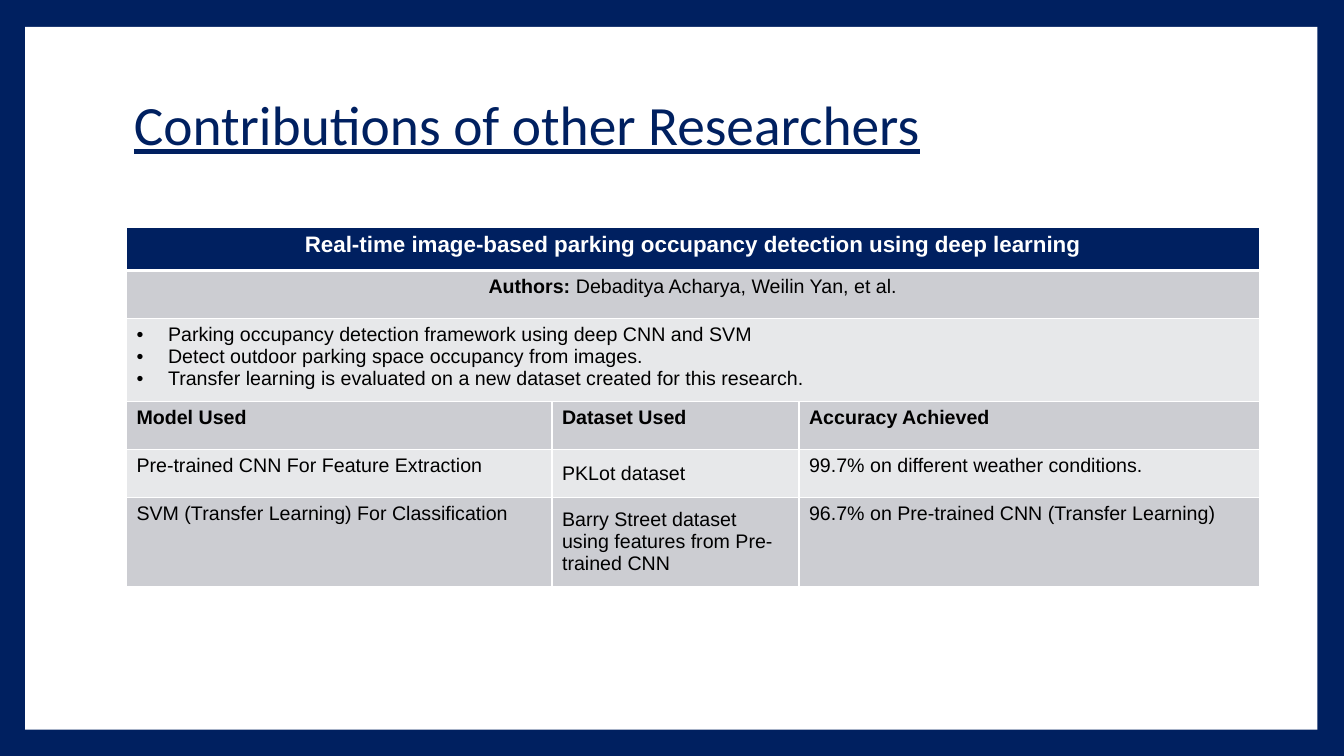
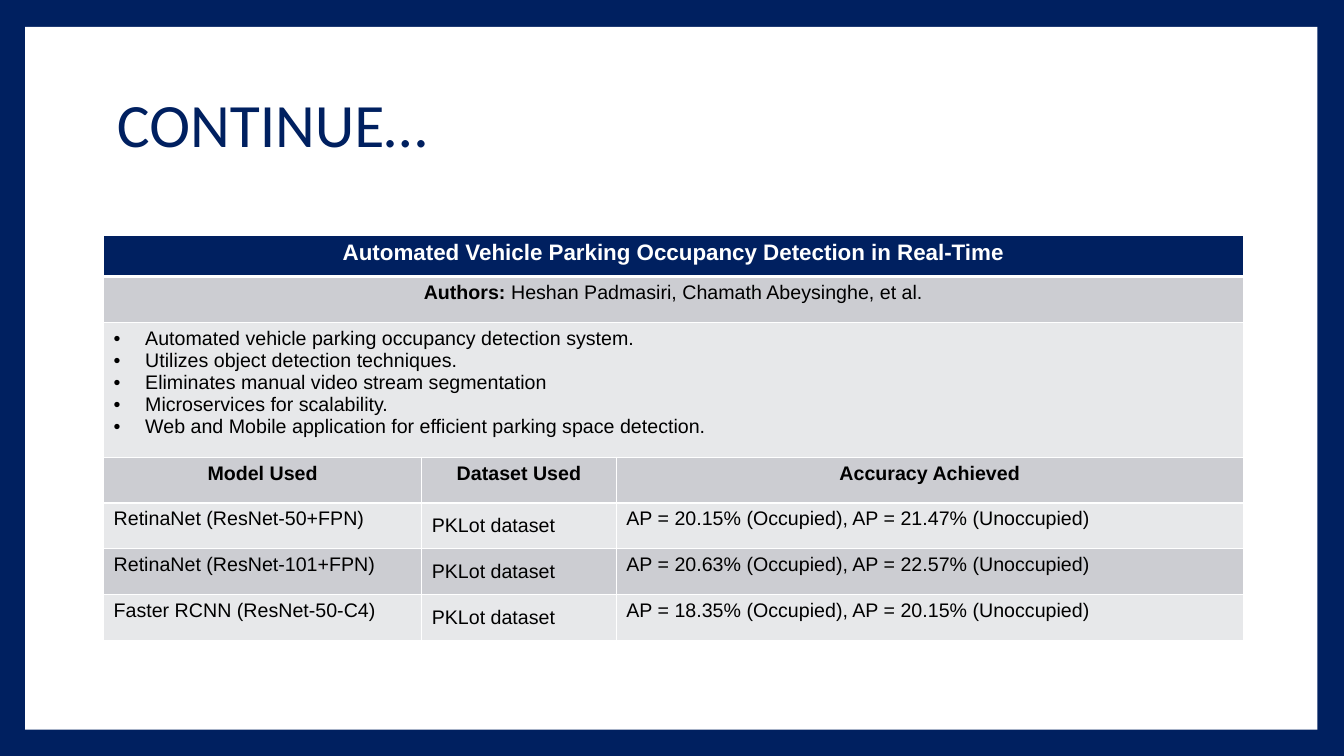
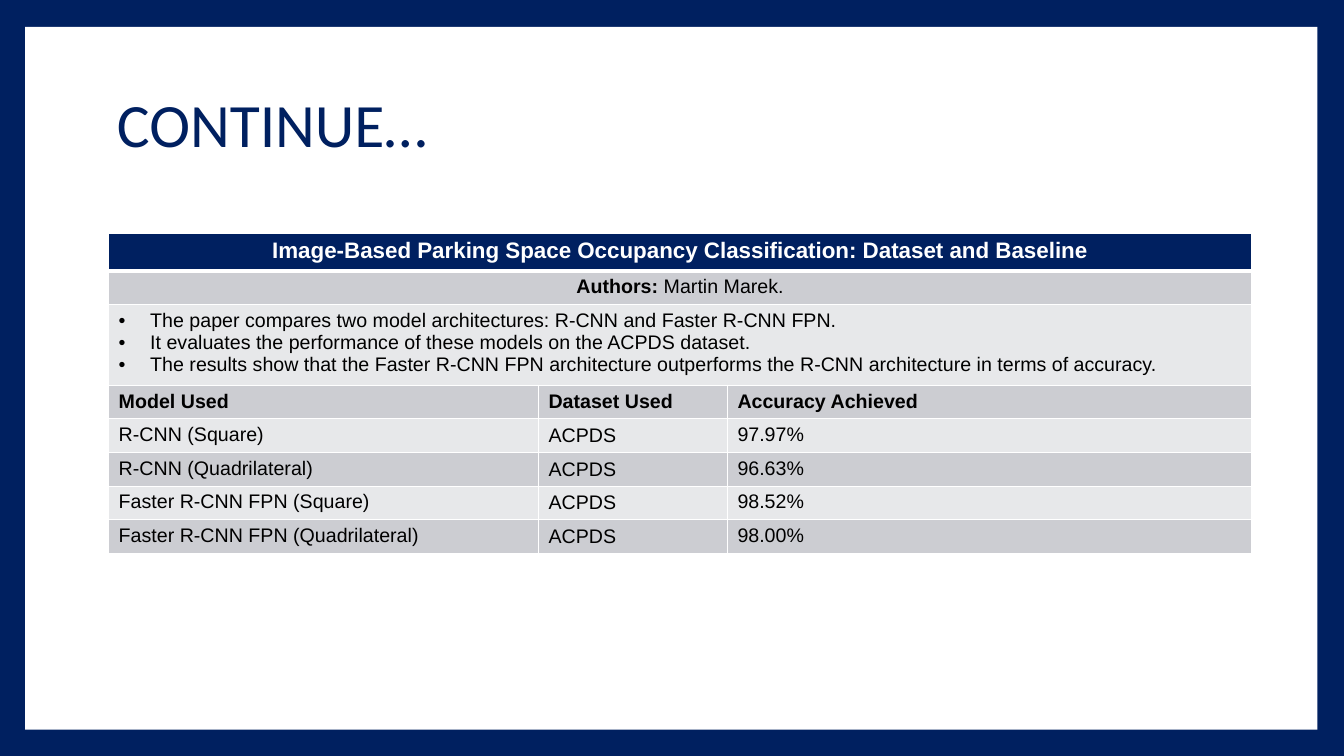
from dataclasses import dataclass

from lxml import etree
from pptx import Presentation
from pptx.dml.color import RGBColor
from pptx.enum import shapes, text
from pptx.oxml import ns
from pptx.util import Pt


@dataclass(frozen=True)
class Theme:
    navy: str = "002060"
    white: str = "FFFFFF"
    black: str = "000000"
    bands: tuple = ("CCCDD2", "E7E8EA")
    title_font: str = "Calibri"
    body_font: str = "Arial"
    title_size: float = 44
    long_title_size: float = 39.6
    heading_size: float = 16
    body_size: float = 14
    bullet_indent: float = 22.5
    border: float = 1
    heading_border: float = 3


def apply(target, values):
    for name, value in values.items():
        setattr(target, name, value)


def add_xml(parent, tag, **attributes):
    return etree.SubElement(parent, ns.qn(tag), attributes)


class Deck:
    def __init__(self, theme):
        self.theme = theme
        self.presentation = Presentation()
        apply(self.presentation, {"slide_width": Pt(960), "slide_height": Pt(540)})
        self.slide = None

    def add_slide(self):
        self.slide = self.presentation.slides.add_slide(self.presentation.slide_layouts[6])
        self.paint(self.slide.background.fill, self.theme.navy)
        panel = self.slide.shapes.add_shape(
            shapes.MSO_SHAPE.RECTANGLE, Pt(18), Pt(19.2), Pt(923), Pt(502))
        panel.shadow.inherit = False
        self.paint(panel.fill, self.theme.white)
        panel.line.fill.background()

    def paint(self, fill, color):
        fill.solid()
        fill.fore_color.rgb = RGBColor.from_string(color)

    def add_text(self, paragraph, words, color, **values):
        run = paragraph.add_run()
        run.text = words
        apply(run.font, values)
        run.font.color.rgb = RGBColor.from_string(color)

    def title(self, words, left=76.5, top=37.5, bottom_inset=3.6, **values):
        shape = self.slide.shapes.add_textbox(Pt(left), Pt(top), Pt(777.6), Pt(106.5))
        apply(shape.text_frame, {
            "word_wrap": True,
            "vertical_anchor": text.MSO_ANCHOR.MIDDLE,
            "margin_bottom": Pt(bottom_inset),
        })
        paragraph = shape.text_frame.paragraphs[0]
        paragraph.line_spacing = 0.9
        style = {"name": self.theme.title_font, "size": Pt(self.theme.title_size)}
        self.add_text(paragraph, words, self.theme.navy, **{**style, **values})

    def borders(self, cell, bottom):
        properties = cell._tc.get_or_add_tcPr()
        for side in "LRTB":
            width = bottom if side == "B" else self.theme.border
            line = add_xml(properties, f"a:ln{side}", w=str(Pt(width)))
            fill = add_xml(line, "a:solidFill")
            add_xml(fill, "a:srgbClr", val=self.theme.white)

    def bullet(self, paragraph):
        indent = Pt(self.theme.bullet_indent)
        properties = paragraph._p.get_or_add_pPr()
        properties.set("marL", str(indent))
        properties.set("indent", str(-indent))
        add_xml(properties, "a:buFont", typeface=self.theme.body_font)
        add_xml(properties, "a:buChar", char="•")

    def cell_text(self, cell, lines, heading=False, bold=False, centered=False, bullets=False):
        theme = self.theme
        size = theme.heading_size if heading else theme.body_size
        color = theme.white if heading else theme.black
        for index, line in enumerate(lines):
            frame = cell.text_frame
            paragraph = frame.add_paragraph() if index else frame.paragraphs[0]
            paragraph.alignment = text.PP_ALIGN.CENTER if centered else text.PP_ALIGN.LEFT
            if bullets:
                self.bullet(paragraph)
            for words, strong in line if isinstance(line, list) else [(line, bold)]:
                self.add_text(paragraph, words, color,
                              name=theme.body_font, size=Pt(size), bold=strong)

    def paper_table(self, left, top, widths, heights, paper, authors, points, results,
                    centered_labels=False):
        frame = self.slide.shapes.add_table(
            len(heights), len(widths), Pt(left), Pt(top), Pt(sum(widths)), Pt(sum(heights)))
        table = frame.table
        apply(table, {"first_row": False, "horz_banding": False})
        for column, width in zip(table.columns, widths):
            column.width = Pt(width)
        for index, (row, height) in enumerate(zip(table.rows, heights)):
            row.height = Pt(height)
            color = self.theme.bands[(index - 1) % 2] if index else self.theme.navy
            bottom = self.theme.border if index else self.theme.heading_border
            for cell in row.cells:
                self.borders(cell, bottom)
                self.paint(cell.fill, color)
        for index in range(3):
            table.cell(index, 0).merge(table.cell(index, len(widths) - 1))

        self.cell_text(table.cell(0, 0), [paper], heading=True, bold=True, centered=True)
        self.cell_text(table.cell(1, 0), [[("Authors: ", True), (authors, False)]], centered=True)
        self.cell_text(table.cell(2, 0), points, bullets=True)
        for column, label in enumerate(("Model Used", "Dataset Used", "Accuracy Achieved")):
            self.cell_text(table.cell(3, column), [label], bold=True, centered=centered_labels)
        for index, result in enumerate(results, start=4):
            for column, words in enumerate(result):
                self.cell_text(table.cell(index, column), [words])
            table.cell(index, 1).vertical_anchor = text.MSO_ANCHOR.MIDDLE


def main():
    theme = Theme()
    deck = Deck(theme)

    deck.add_slide()
    deck.title("Contributions of other Researchers", left=88.5, top=48.2, bottom_inset=24,
               size=Pt(theme.long_title_size), underline=True)
    deck.paper_table(
        90.3, 162.3, (304, 176.4, 328.8), (31, 34.3, 59, 34.3, 34.3, 64),
        "Real-time image-based parking occupancy detection using deep learning",
        "Debaditya Acharya, Weilin Yan, et al.",
        ("Parking occupancy detection framework using deep CNN and SVM",
         "Detect outdoor parking space occupancy from images.",
         "Transfer learning is evaluated on a new dataset created for this research."),
        (("Pre-trained CNN For Feature Extraction", "PKLot dataset",
          "99.7% on different weather conditions."),
         ("SVM (Transfer Learning) For Classification",
          "Barry Street dataset using features from Pre-trained CNN",
          "96.7% on Pre-trained CNN (Transfer Learning)")))

    deck.add_slide()
    deck.title("CONTINUE…")
    deck.paper_table(
        74, 168, (227.2, 139, 447.8), (29.5, 32.7, 96.5) + (32.7,) * 4,
        "Automated Vehicle Parking Occupancy Detection in Real-Time",
        "Heshan Padmasiri, Chamath Abeysinghe, et al.",
        ("Automated vehicle parking occupancy detection system.",
         "Utilizes object detection techniques.",
         "Eliminates manual video stream segmentation",
         "Microservices for scalability.",
         "Web and Mobile application for efficient parking space detection."),
        (("RetinaNet (ResNet-50+FPN)", "PKLot dataset",
          "AP = 20.15% (Occupied), AP = 21.47% (Unoccupied)"),
         ("RetinaNet (ResNet-101+FPN)", "PKLot dataset",
          "AP = 20.63% (Occupied), AP = 22.57% (Unoccupied)"),
         ("Faster RCNN (ResNet-50-C4)", "PKLot dataset",
          "AP = 18.35% (Occupied), AP = 20.15% (Unoccupied)")),
        centered_labels=True)

    deck.add_slide()
    deck.title("CONTINUE…")
    deck.paper_table(
        77.6, 167, (307, 135, 374.4), (24, 23, 54.2) + (23,) * 5,
        "Image-Based Parking Space Occupancy Classification: Dataset and Baseline",
        "Martin Marek.",
        ("The paper compares two model architectures: R-CNN and Faster R-CNN FPN.",
         "It evaluates the performance of these models on the ACPDS dataset.",
         "The results show that the Faster R-CNN FPN architecture outperforms "
         "the R-CNN architecture in terms of accuracy."),
        (("R-CNN (Square)", "ACPDS", "97.97%"),
         ("R-CNN (Quadrilateral)", "ACPDS", "96.63%"),
         ("Faster R-CNN FPN (Square)", "ACPDS", "98.52%"),
         ("Faster R-CNN FPN (Quadrilateral)", "ACPDS", "98.00%")))

    deck.presentation.save("out.pptx")


if __name__ == "__main__":
    main()
